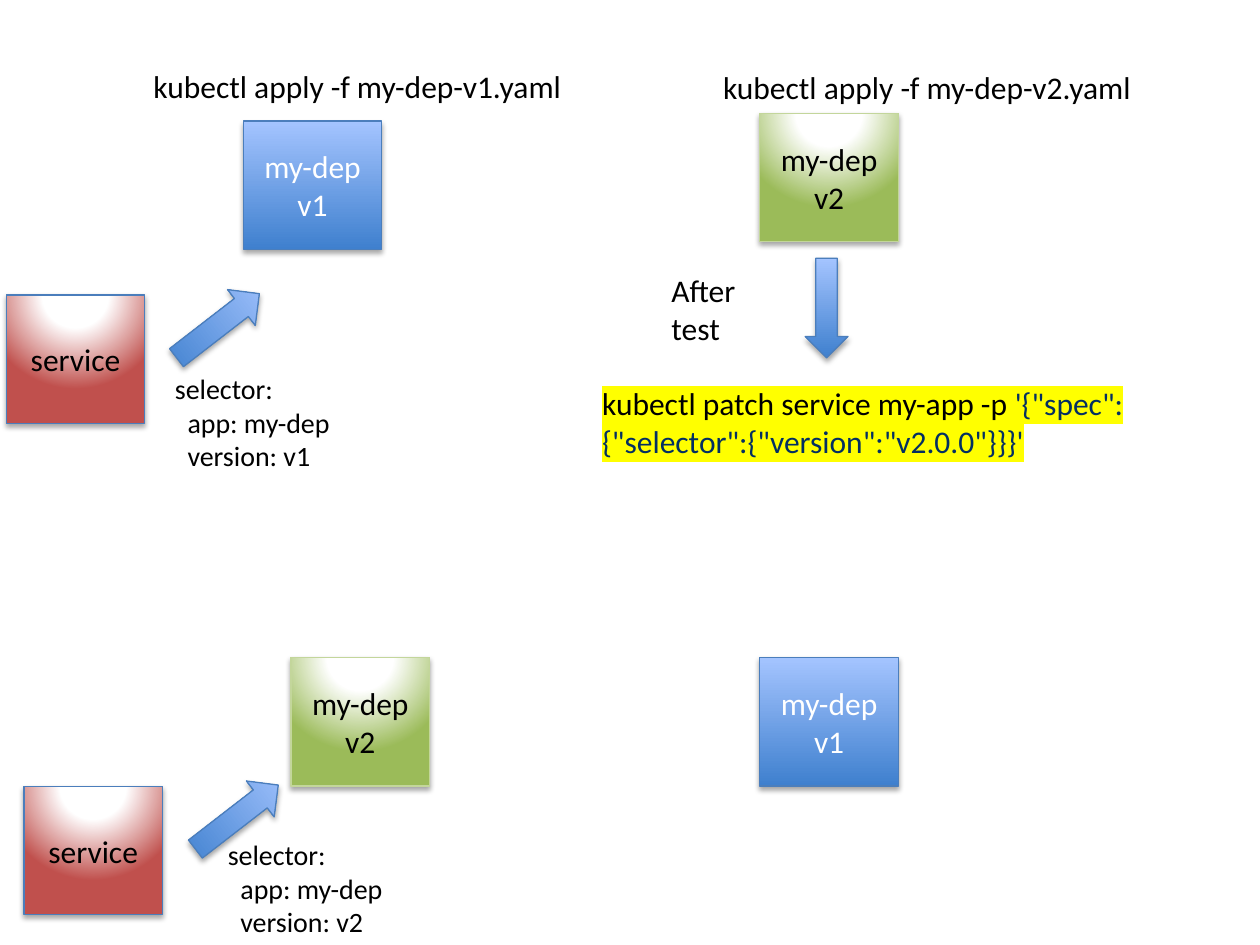
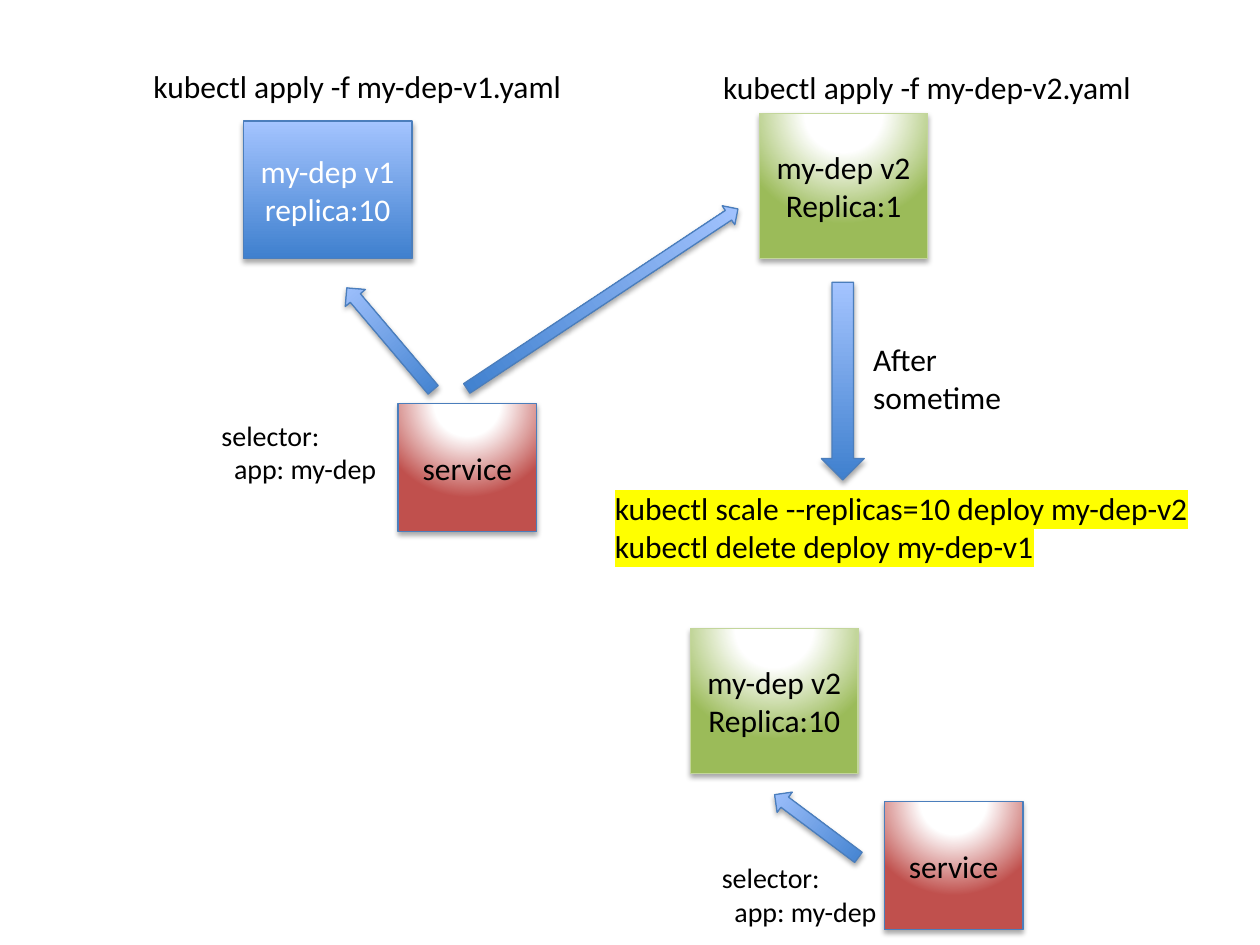
from lxml import etree
from pptx import Presentation
from pptx.dml.color import RGBColor
from pptx.enum.shapes import MSO_SHAPE
from pptx.enum.text import MSO_ANCHOR, MSO_AUTO_SIZE, PP_ALIGN
from pptx.oxml import parse_xml
from pptx.oxml.ns import nsdecls, qn
from pptx.util import Pt

RECT, UP, DOWN = MSO_SHAPE.RECTANGLE, MSO_SHAPE.UP_ARROW, MSO_SHAPE.DOWN_ARROW
MIDDLE, FIT = MSO_ANCHOR.MIDDLE, MSO_AUTO_SIZE.SHAPE_TO_FIT_TEXT
LEFT, CENTER = PP_ALIGN.LEFT, PP_ALIGN.CENTER

BLACK = RGBColor(0x00, 0x00, 0x00)
WHITE = RGBColor(0xFF, 0xFF, 0xFF)
NAVY = RGBColor(0x03, 0x2F, 0x62)
BLUE = RGBColor(0x3F, 0x80, 0xCE)
SKY = RGBColor(0xA4, 0xC4, 0xFF)
EDGE = RGBColor(0x4B, 0x7E, 0xBC)
GREEN = RGBColor(0x9B, 0xBB, 0x59)
LIME = RGBColor(0xC3, 0xD6, 0x9B)
RED = RGBColor(0xC0, 0x50, 0x4D)
YELLOW = RGBColor(0xFF, 0xFF, 0x00)

FONT = "Calibri"
SMALL, LARGE = 16, 18
LINEAR = '<a:lin ang="16200000" scaled="0"/>'
GLOW = ('<a:path path="circle"><a:fillToRect l="50000" t="-80000" '
        'r="50000" b="180000"/></a:path>')
SLOPE = [(0, BLUE), (100, SKY)], LINEAR


def glow(color):
    return [(0, WHITE), (35, WHITE), (100, color)], GLOW


LOOKS = {
    "old": (SLOPE, EDGE, WHITE),
    "new": (glow(GREEN), LIME, BLACK),
    "service": (glow(RED), EDGE, BLACK),
}
BOX = (79.2, 73.4)
WIDE = (95.8, 82.8)
HEADS = [
    (80.6, 34.6, "kubectl apply -f my-dep-v1.yaml"),
    (406.1, 35.3, "kubectl apply -f my-dep-v2.yaml"),
]

SWITCH = {
    "boxes": [
        ("old", 139, 69.1, BOX, ["my-dep v1"]),
        ("new", 434.2, 64.8, BOX, ["my-dep v2"]),
        ("service", 3.6, 168.5, BOX, ["service"]),
        ("old", 434.2, 375.8, BOX, ["my-dep v1"]),
        ("new", 166.3, 375.8, BOX, ["my-dep v2"]),
        ("service", 13.7, 449.3, BOX, ["service"]),
    ],
    "arrows": [
        (UP, 111.6, 156.2, 25.9, 59.8, 52.3),
        (DOWN, 460.1, 147.6, 24.5, 56.9, 0),
        (UP, 122.4, 437, 25.9, 59.8, 52.3),
    ],
    "rules": [
        (92.9, 208.8, ["selector:", "  app: my-dep", "  version: v1"]),
        (123.1, 475.2, ["selector:", "  app: my-dep", "  version: v2"]),
    ],
    "command": (337, 216, 329, [
        [("kubectl patch service my-app -p ", BLACK),
         ("""'{"spec":{"selector":{"version":"v2.0.0"}}}'""", NAVY)],
    ]),
    "wait": (376.6, 151.2, 67, "After test"),
}
SCALE = {
    "boxes": [
        ("old", 139, 69.1, (96.5, 78.5), ["my-dep v1", "replica:10"]),
        ("new", 434.2, 64.8, WIDE, ["my-dep v2", "Replica:1"]),
        ("service", 227.5, 230.4, BOX, ["service"]),
        ("service", 505.4, 457.9, BOX, ["service"]),
        ("new", 394.6, 359.3, WIDE, ["my-dep v2", "Replica:10"]),
    ],
    "arrows": [
        (UP, 215.3, 155.5, 15.1, 76.3, 319.7),
        (DOWN, 469.4, 161.3, 24.5, 113, 0),
        (UP, 459.4, 442.1, 14.4, 59.8, 306.8),
        (UP, 337.7, 77.8, 13, 185.8, 56.5),
    ],
    "rules": [
        (119.5, 235.4, ["selector:", "  app: my-dep"]),
        (405.4, 488.2, ["selector:", "  app: my-dep"]),
    ],
    "command": (344.2, 275.8, 352.1, [
        [("kubectl scale --replicas=10 deploy my-dep-v2", BLACK)],
        [("kubectl delete deploy my-dep-v1", BLACK)],
    ]),
    "wait": (491.8, 190.8, 89.3, "After sometime"),
}


def plain(lines, color=BLACK):
    return [[(line, color)] for line in lines]


def write(frame, lines, size=LARGE, align=LEFT, mark=None):
    for i, line in enumerate(lines):
        para = frame.add_paragraph() if i else frame.paragraphs[0]
        para.alignment = align
        for text, color in line:
            run = para.add_run()
            run.text = text
            run.font.size = Pt(size)
            run.font.color.rgb = color
            if mark:
                light = etree.SubElement(run.font._element, qn("a:highlight"))
                etree.SubElement(light, qn("a:srgbClr"), val=str(mark))
            run.font.name = FONT


def add_text(slide, x, y, width, lines, size=LARGE, wrap=False, mark=None):
    height = len(lines) * size * 1.2 + 7.2
    frame = slide.shapes.add_textbox(Pt(x), Pt(y), Pt(width), Pt(height)).text_frame
    frame.word_wrap = wrap
    frame.auto_size = FIT
    write(frame, lines, size, mark=mark)


def add_solid(slide, kind, x, y, width, height, shade, edge):
    shape = slide.shapes.add_shape(kind, Pt(x), Pt(y), Pt(width), Pt(height))
    stops, mode = shade
    marks = "".join(f'<a:gs pos="{at * 1000}"><a:srgbClr val="{color}"/></a:gs>'
                    for at, color in stops)
    props = shape._element.spPr
    props.append(parse_xml(f'<a:gradFill {nsdecls("a")} rotWithShape="1">'
                           f'<a:gsLst>{marks}</a:gsLst>{mode}</a:gradFill>'))
    shape.line.color.rgb = edge
    shape.line.width = Pt(0.75)
    shape.shadow.inherit = False
    props.find(qn("a:effectLst")).append(parse_xml(
        f'<a:outerShdw {nsdecls("a")} blurRad="{Pt(3.1)}" dist="{Pt(1.8)}" '
        'dir="5400000" rotWithShape="0"><a:srgbClr val="000000">'
        '<a:alpha val="35000"/></a:srgbClr></a:outerShdw>'))
    return shape


def add_box(slide, look, x, y, size, lines):
    shade, edge, color = LOOKS[look]
    frame = add_solid(slide, RECT, x, y, *size, shade, edge).text_frame
    frame.word_wrap = True
    frame.vertical_anchor = MIDDLE
    write(frame, plain(lines, color), align=CENTER)


def build(deck, stage):
    slide = deck.slides.add_slide(deck.slide_layouts[6])
    for box in stage["boxes"]:
        add_box(slide, *box)
    for kind, x, y, width, height, turn in stage["arrows"]:
        add_solid(slide, kind, x, y, width, height, SLOPE, EDGE).rotation = turn
    for x, y, text in HEADS:
        add_text(slide, x, y, 250.5, plain([text]))
    for x, y, lines in stage["rules"]:
        add_text(slide, x, y, 103.7, plain(lines), SMALL)
    add_text(slide, *stage["command"], wrap=True, mark=YELLOW)
    x, y, width, text = stage["wait"]
    add_text(slide, x, y, width, plain([text]), wrap=True)


def main():
    deck = Presentation()
    deck.slide_width, deck.slide_height = Pt(720), Pt(540)
    for stage in (SWITCH, SCALE):
        build(deck, stage)
    deck.save("out.pptx")


if __name__ == "__main__":
    main()
